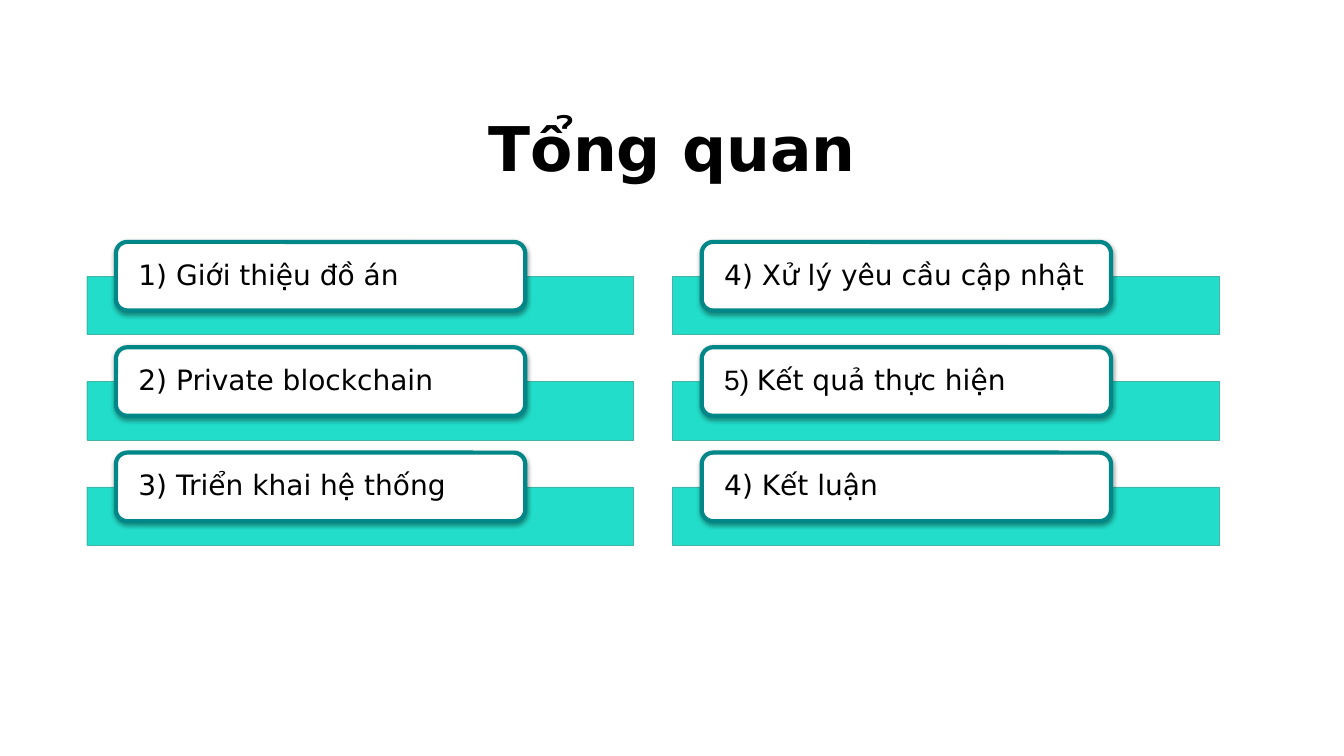
"""Build the "Tổng quan" agenda slide: two columns of labelled bars."""
import pptx
import pptx.dml.color
import pptx.enum.shapes
import pptx.enum.text
import pptx.oxml
import pptx.oxml.ns
import pptx.util

Inches, Pt = pptx.util.Inches, pptx.util.Pt
RGBColor = pptx.dml.color.RGBColor
Preset = pptx.enum.shapes.MSO_SHAPE
Align, Anchor = pptx.enum.text.PP_ALIGN, pptx.enum.text.MSO_ANCHOR

MAIN, PLAIN = "DejaVu Sans", "Arial"
TITLE = "Tổng quan"
AGENDA = [
    [
        [("1) Giới thiệu đồ án", MAIN)],
        [("2) Private blockchain", MAIN)],
        [("3) Triển khai hệ thống", MAIN)],
    ],
    [
        [("4) Xử lý yêu cầu cập nhật", MAIN)],
        [("5) ", PLAIN), ("Kết quả thực hiện", MAIN)],
        [("4) Kết luận", MAIN)],
    ],
]

BLACK = RGBColor(0x00, 0x00, 0x00)
WHITE = RGBColor(0xFF, 0xFF, 0xFF)
TURQUOISE = RGBColor(0x0B, 0xDA, 0xC5)
BAR_EDGE = RGBColor(0x42, 0xB5, 0xA6)
TEAL = RGBColor(0x01, 0x87, 0x88)

GRID_LEFT, GRID_TOP = 0.86, 2.4
COLUMN_STEP, ROW_STEP = 5.81, 1.045
BAR_SIZE, BAR_DROP = (5.42, 0.58), 0.34
LABEL_SIZE, LABEL_INDENT = (4.06, 0.68), 0.29

TITLE_FRAME = dict(margin_left=Inches(0.1), margin_right=Inches(0.1),
                   margin_top=Inches(0.05), margin_bottom=Inches(0.05),
                   vertical_anchor=Anchor.MIDDLE, word_wrap=True)
LABEL_FRAME = dict(TITLE_FRAME, margin_left=Inches(0.19), margin_right=Inches(0.15),
                   margin_top=Inches(0.03), margin_bottom=Inches(0.03))
TITLE_FONT = dict(name=MAIN, size=Pt(44), bold=True)
LABEL_FONT = dict(size=Pt(20))

NS = pptx.oxml.ns.nsdecls("a")
ALPHA = f'<a:alpha {NS} val="90000"/>'
SHADOW = (f'<a:outerShdw {NS} blurRad="40000" dist="20000" dir="5400000" rotWithShape="0">'
          '<a:srgbClr val="000000"><a:alpha val="38000"/></a:srgbClr></a:outerShdw>')


def apply(target, values):
    for name, value in values.items():
        setattr(target, name, value)


def add_run(paragraph, text, font):
    run = paragraph.add_run()
    run.text = text
    apply(run.font, font)
    run.font.color.rgb = BLACK


def add_panel(slide, preset, left, top, size, fill, edge, edge_width):
    panel = slide.shapes.add_shape(preset, *map(Inches, (left, top, *size)))
    panel.shadow.inherit = False
    panel.fill.solid()
    panel.fill.fore_color.rgb = fill
    panel.line.color.rgb = edge
    panel.line.width = Pt(edge_width)
    return panel


def add_bar(slide, left, top):
    bar = add_panel(slide, Preset.RECTANGLE, left, top, BAR_SIZE, TURQUOISE, BAR_EDGE, 0.25)
    color = bar.element.spPr.find(pptx.oxml.ns.qn("a:solidFill"))[0]
    color.append(pptx.oxml.parse_xml(ALPHA))


def add_label(slide, left, top, pieces):
    label = add_panel(slide, Preset.ROUNDED_RECTANGLE, left, top, LABEL_SIZE, WHITE, TEAL, 3)
    effects = label.element.spPr.find(pptx.oxml.ns.qn("a:effectLst"))
    effects.append(pptx.oxml.parse_xml(SHADOW))
    apply(label.text_frame, LABEL_FRAME)
    paragraph = label.text_frame.paragraphs[0]
    apply(paragraph, dict(alignment=Align.LEFT, line_spacing=0.9))
    for text, font_name in pieces:
        add_run(paragraph, text, dict(LABEL_FONT, name=font_name))


def main():
    deck = pptx.Presentation()
    apply(deck, dict(slide_width=Inches(13.33), slide_height=Inches(7.5)))
    slide = deck.slides.add_slide(deck.slide_layouts[5])

    heading = slide.shapes.title
    apply(heading, dict(left=Inches(4.69), top=Inches(0.97),
                        width=Inches(3.96), height=Inches(0.97)))
    apply(heading.text_frame, TITLE_FRAME)
    paragraph = heading.text_frame.paragraphs[0]
    paragraph.alignment = Align.CENTER
    add_run(paragraph, TITLE, TITLE_FONT)

    for column, topics in enumerate(AGENDA):
        for row, pieces in enumerate(topics):
            left = GRID_LEFT + column * COLUMN_STEP
            top = GRID_TOP + row * ROW_STEP
            add_bar(slide, left, top + BAR_DROP)
            add_label(slide, left + LABEL_INDENT, top, pieces)

    deck.save("out.pptx")


if __name__ == "__main__":
    main()
